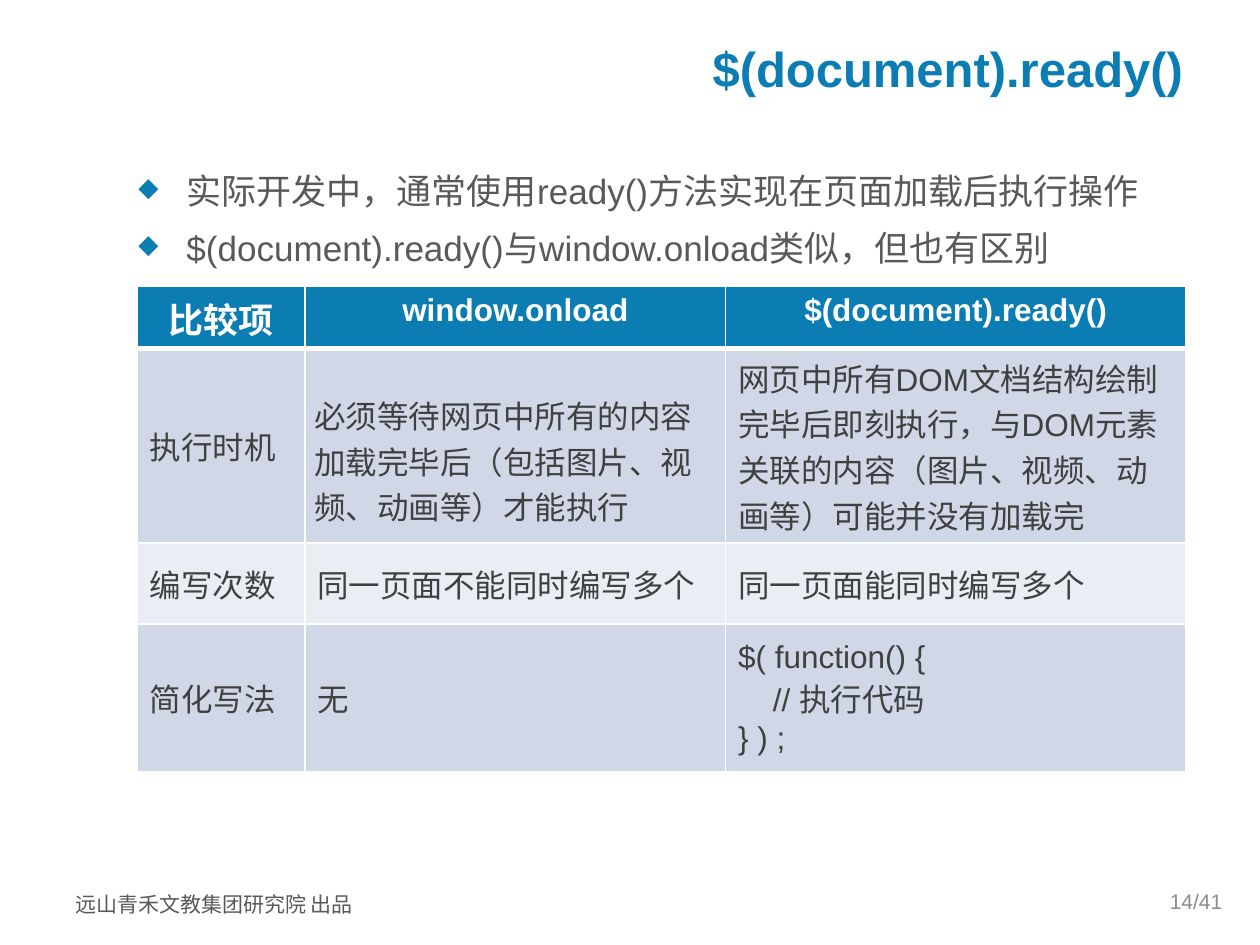
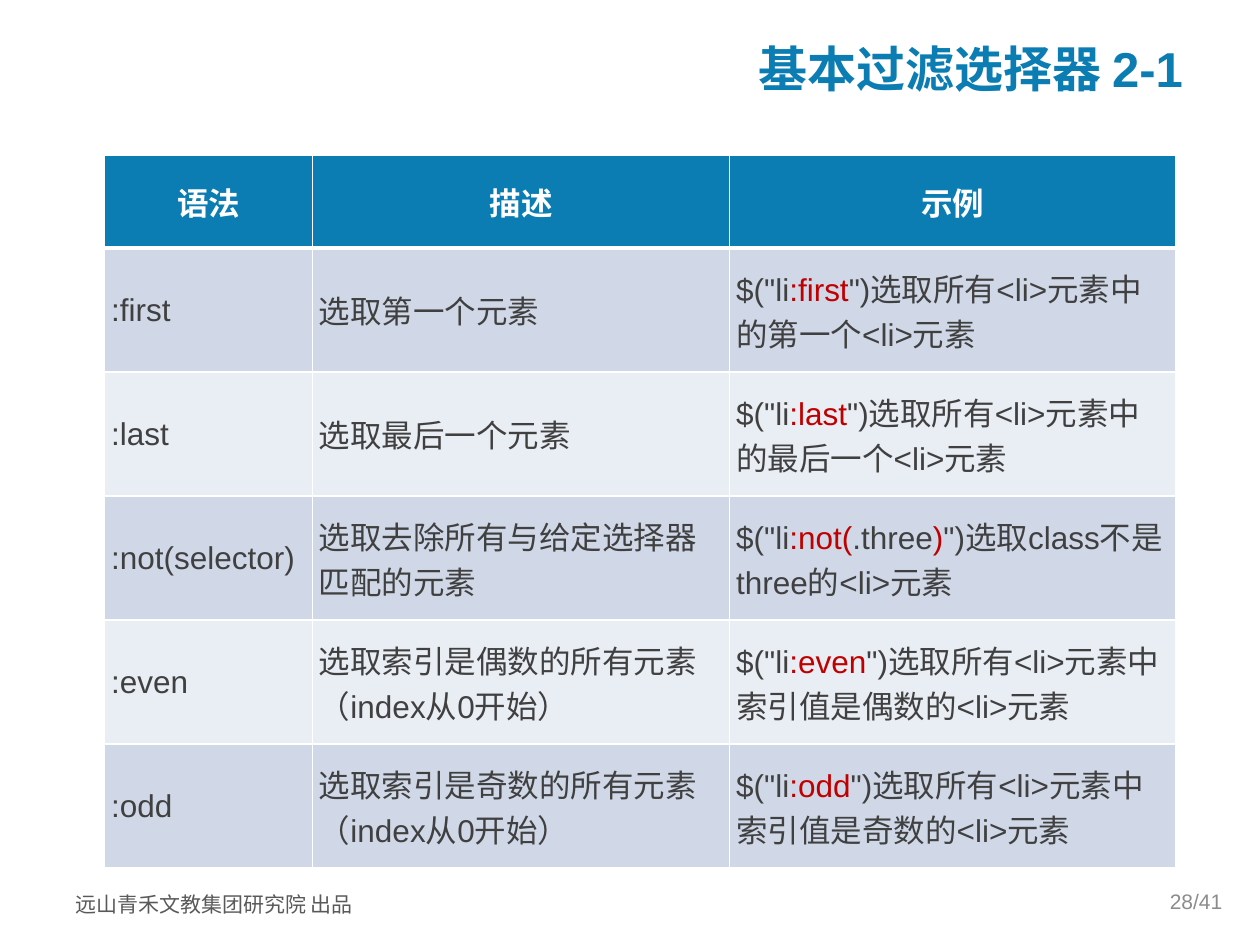
import dataclasses

import pptx
import pptx.dml.color
import pptx.enum.text
import pptx.oxml.ns
import pptx.util
from lxml import etree

Cm, Pt = pptx.util.Cm, pptx.util.Pt
Rgb = pptx.dml.color.RGBColor.from_string
Align = pptx.enum.text.PP_ALIGN
Anchor = pptx.enum.text.MSO_ANCHOR
Fit = pptx.enum.text.MSO_AUTO_SIZE
qn = pptx.oxml.ns.qn


@dataclasses.dataclass(frozen=True)
class Theme:
    # Colours
    blue: str = "0B7DB2"
    white: str = "FFFFFF"
    grey: str = "595959"
    dark: str = "404040"
    pale: str = "8C8C8C"
    red: str = "C00000"
    bands: tuple = ("D0D8E8", "E9EDF4")
    # Fonts and type sizes
    latin: str = "Arial"
    asian: str = "Noto Sans CJK SC"
    title: int = 28
    body: int = 20
    cell: int = 18
    small: int = 12


LOOK = Theme()
FOOTER = "远山青禾文教集团研究院 出品"
PAGES = 41


def put(thing, values):
    """Set each attribute named in a dict."""
    for name, value in values.items():
        setattr(thing, name, value)


def add_run(para, text, size, color, bold=False, face=LOOK.latin):
    run = para.add_run()
    run.text = text
    put(run.font, {"size": Pt(size), "bold": bold, "name": face})
    run.font.color.rgb = Rgb(color)
    etree.SubElement(run.font._element, qn("a:ea"), typeface=LOOK.asian)


def indent(para, left, first=0):
    props = para._p.get_or_add_pPr()
    props.set("marL", str(Cm(left)))
    props.set("indent", str(Cm(first)))
    return props


def add_box(slide, place, anchor=Anchor.TOP):
    frame = slide.shapes.add_textbox(*map(Cm, place)).text_frame
    put(frame, {"word_wrap": True, "vertical_anchor": anchor})
    return frame


def add_title(slide, text):
    shape = slide.shapes.title
    put(shape, {"left": Cm(2.54), "top": Cm(0.79),
                "width": Cm(21.56), "height": Cm(1.14)})
    frame = shape.text_frame
    put(frame, {"vertical_anchor": Anchor.MIDDLE, "auto_size": Fit.NONE,
                "word_wrap": True})
    para = frame.paragraphs[0]
    para.alignment = Align.RIGHT
    add_run(para, text, LOOK.title, LOOK.blue, True)


def add_footer(slide, page):
    para = add_box(slide, (1.27, 17.75, 6.43, 0.86)).paragraphs[0]
    para.line_spacing = 1.2
    add_run(para, FOOTER, LOOK.small, LOOK.grey, face=LOOK.asian)
    frame = add_box(slide, (18.97, 17.65, 5.92, 1.02), Anchor.MIDDLE)
    para = frame.paragraphs[0]
    para.alignment = Align.RIGHT
    add_run(para, f"{page}/{PAGES}", LOOK.small, LOOK.pale)


def add_points(slide, points):
    frame = add_box(slide, (2.54, 3.12, 21.56, 11.99))
    for i, point in enumerate(points):
        para = frame.add_paragraph() if i else frame.paragraphs[0]
        put(para, {"line_spacing": 1.2, "space_before": Pt(4)})
        props = indent(para, 0.97, -0.97)
        tint = etree.SubElement(props, qn("a:buClr"))
        etree.SubElement(tint, qn("a:srgbClr"), val=LOOK.blue)
        etree.SubElement(props, qn("a:buSzPct"), val="75000")
        etree.SubElement(props, qn("a:buChar"), char="◆")
        add_run(para, point, LOOK.body, LOOK.grey)


def add_edges(cell, top, base):
    props = cell._tc.get_or_add_tcPr()
    for side, width in {"L": 1, "R": 1, "T": top, "B": base}.items():
        line = etree.SubElement(props, qn(f"a:ln{side}"), w=str(Pt(width)))
        fill = etree.SubElement(line, qn("a:solidFill"))
        etree.SubElement(fill, qn("a:srgbClr"), val=LOOK.white)


def fill_cell(cell, text, row, inset):
    """Style one cell; text between bars is shown in red."""
    head = row == 0
    add_edges(cell, 3 if row == 1 else 1, 3 if head else 1)
    cell.fill.solid()
    cell.fill.fore_color.rgb = Rgb(LOOK.blue if head else LOOK.bands[(row - 1) % 2])
    side, edge = inset
    put(cell, {"margin_left": Cm(side), "margin_right": Cm(side),
               "margin_top": Cm(edge), "margin_bottom": Cm(edge),
               "vertical_anchor": Anchor.MIDDLE})
    para = cell.text_frame.paragraphs[0]
    para.space_before = Pt(3.6)
    if head:
        para.alignment = Align.CENTER
    for i, part in enumerate(text.split("|")):
        color = LOOK.white if head else (LOOK.dark, LOOK.red)[i % 2]
        if part:
            add_run(para, part, LOOK.cell, color, head)


def add_grid(slide, left, top, cols, rows, texts, head_in, body_in):
    shape = slide.shapes.add_table(len(rows), len(cols), Cm(left), Cm(top),
                                   Cm(sum(cols)), Cm(sum(rows)))
    table = shape.table
    for col, width in zip(table.columns, cols):
        col.width = Cm(width)
    for row, height in zip(table.rows, rows):
        row.height = Cm(height)
    for r, line in enumerate(texts):
        for c, text in enumerate(line):
            fill_cell(table.cell(r, c), text, r, body_in if r else head_in)
    return table


def add_code(cell, lines):
    """Write code lines, each given as text and left indent."""
    for i, (text, left) in enumerate(lines):
        para = cell.text_frame.add_paragraph() if i else cell.text_frame.paragraphs[0]
        para.space_before = Pt(0)
        indent(para, left)
        add_run(para, text, LOOK.cell, LOOK.dark)


def start_slide(deck, title, page):
    slide = deck.slides.add_slide(deck.slide_layouts[5])
    add_title(slide, title)
    add_footer(slide, page)
    return slide


def ready_slide(deck):
    slide = start_slide(deck, "$(document).ready()", 14)
    add_points(slide, ["实际开发中，通常使用ready()方法实现在页面加载后执行操作",
                       "$(document).ready()与window.onload类似，但也有区别"])
    texts = [
        ("比较项", "window.onload", "$(document).ready()"),
        ("执行时机",
         "必须等待网页中所有的内容加载完毕后（包括图片、视频、动画等）才能执行",
         "网页中所有DOM文档结构绘制完毕后即刻执行，与DOM元素关联的内容"
         "（图片、视频、动画等）可能并没有加载完"),
        ("编写次数", "同一页面不能同时编写多个", "同一页面能同时编写多个"),
        ("简化写法", "无", ""),
    ]
    inset = (0.25, 0.13)
    table = add_grid(slide, 2.77, 5.77, (3.38, 8.48, 9.27),
                     (1.25, 3.93, 1.63, 2.97), texts, inset, inset)
    # Heads sit at the top, the first one larger
    for c in range(3):
        table.cell(0, c).vertical_anchor = Anchor.TOP
    table.cell(0, 0).text_frame.paragraphs[0].runs[0].font.size = Pt(LOOK.body)
    # The timing text sits a little below the middle
    put(table.cell(1, 1), {"margin_left": Cm(0.18), "margin_right": Cm(0.18),
                           "margin_top": Cm(0.6), "margin_bottom": Cm(0)})
    add_code(table.cell(3, 2), [("$( function() {", 0), ("// 执行代码", 0.7),
                                ("} ) ;", 0)])


def filter_slide(deck):
    slide = start_slide(deck, "基本过滤选择器 2-1", 28)
    texts = [
        ("语法", "描述", "示例"),
        (":first", "选取第一个元素",
         '$("li|:first|")选取所有<li>元素中的第一个<li>元素'),
        (":last", "选取最后一个元素",
         '$("li|:last|")选取所有<li>元素中的最后一个<li>元素'),
        (":not(selector)", "选取去除所有与给定选择器匹配的元素",
         '$("li|:not(|.three|)|")选取class不是three的<li>元素'),
        (":even", "选取索引是偶数的所有元素（index从0开始）",
         '$("li|:even|")选取所有<li>元素中索引值是偶数的<li>元素'),
        (":odd", "选取索引是奇数的所有元素（index从0开始）",
         '$("li|:odd|")选取所有<li>元素中索引值是奇数的<li>元素'),
    ]
    add_grid(slide, 2.11, 3.12, (4.19, 8.41, 8.99), [1.88] + [2.5] * 5,
             texts, (0.18, 0), (0.13, 0))


def main():
    deck = pptx.Presentation()
    put(deck, {"slide_width": Cm(25.4), "slide_height": Cm(19.05)})
    ready_slide(deck)
    filter_slide(deck)
    deck.save("out.pptx")


if __name__ == "__main__":
    main()
